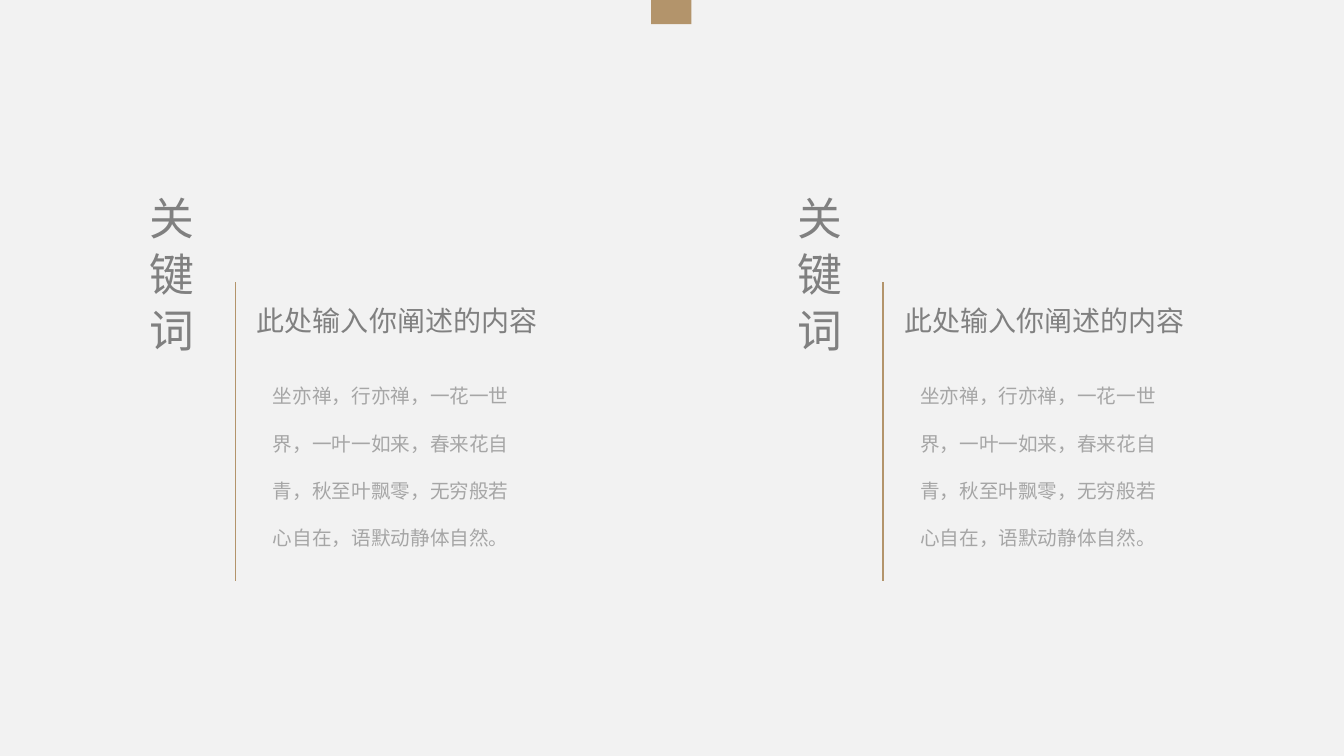
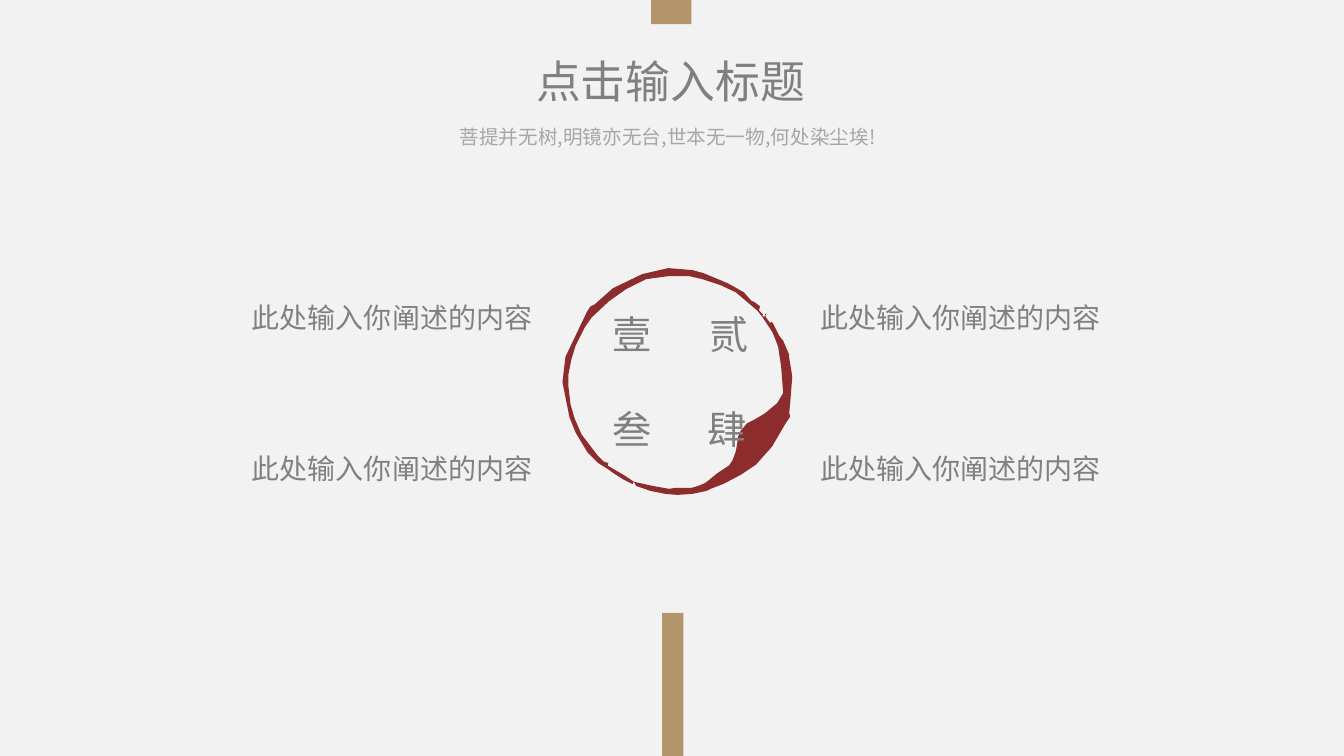
"""Build two calm text slides: a pair of keyword columns and a ring with four points."""
from dataclasses import dataclass
from itertools import product

from lxml.etree import SubElement
from pptx import Presentation
from pptx.dml.color import RGBColor
from pptx.enum.shapes import MSO_CONNECTOR as CONN, MSO_SHAPE as SHAPE
from pptx.enum.text import MSO_AUTO_SIZE as AUTO
from pptx.oxml.ns import qn
from pptx.slide import Slide
from pptx.util import Pt

PAPER = RGBColor(0xF2, 0xF2, 0xF2)
TAN = RGBColor(0xB3, 0x94, 0x6B)
RED = RGBColor(0x8C, 0x2C, 0x2C)
GREY = RGBColor(0x80, 0x80, 0x80)
PALE = RGBColor(0xA6, 0xA6, 0xA6)
FONT = "Noto Sans CJK SC"

HEADING = "此处输入你阐述的内容"
VERSE = ("坐亦禅，行亦禅，一花一世界，一叶一如来，春来花自青，"
         "秋至叶飘零，无穷般若心自在，语默动静体自然。")
RING_UNIT = 0.72
BRUSH_TIP = """
784,399 786,374 785,367 783,355 783,352 777,338 773,333 767,321 765,319 764,321
763,319 760,315 759,312 761,313 759,311 759,314 756,314
"""
INNER_EDGE = """
758,317 766,329 769,336 772,344 775,364 777,390 771,400 765,405 759,410 749,416
741,420 737,425 735,427 732,434 732,436 730,448 727,456 724,461 723,462 711,470
700,479 693,482 686,484 683,484 670,484 664,485 647,482 629,478 620,472 603,462
603,460 604,459 602,459 599,458 593,452 577,431 570,415 566,401 564,384 564,371
567,356 571,343 580,325 587,315 604,299 621,287 641,277 663,274 684,274 697,277
715,283 730,290 750,307 752,309 756,314
"""
OUTER_EDGE = """
757,312 753,308 754,304 749,300 745,298 738,290 722,281 698,271 687,268 663,266
637,272 608,286 590,302 586,304 585,305 582,310 561,354 558,379 565,414 571,429
583,449 593,459 604,466 608,469 619,476 627,480 628,480 628,479 629,478 631,482
645,487 660,490 672,491 687,490 701,487 705,485 718,480 735,471 750,461 766,443
780,419 783,415 784,413 783,410
"""


@dataclass(frozen=True)
class Style:
    size: float
    color: RGBColor = GREY
    spacing: float = 1.0
    wrap: bool = False
    vertical: bool = False


@dataclass(frozen=True)
class Box:
    left: float
    top: float
    width: float
    height: float


TITLE = Style(32)
KEYWORD = Style(32, vertical=True)
POINT = Style(20, spacing=1.5)
BODY = Style(14, PALE, spacing=2.0, wrap=True)
SUBTITLE = Style(14, PALE, wrap=True)
NUMERAL = Style(28)


def add_text(s: Slide, box: Box, text: str, style: Style) -> None:
    sp = s.shapes.add_textbox(Pt(box.left), Pt(box.top), Pt(box.width), Pt(box.height))
    tf = sp.text_frame
    tf.word_wrap = style.wrap
    tf.auto_size = AUTO.SHAPE_TO_FIT_TEXT
    p = tf.paragraphs[0]
    p.line_spacing = style.spacing
    r = p.add_run()
    r.text = text
    r.font.size = Pt(style.size)
    r.font.name = FONT
    r.font.color.rgb = style.color
    SubElement(r._r.get_or_add_rPr(), qn("a:ea")).set("typeface", FONT)
    if style.vertical:
        tf._txBody.bodyPr.set("vert", "eaVert")


def add_block(s: Slide, box: Box) -> None:
    sp = s.shapes.add_shape(SHAPE.RECTANGLE, Pt(box.left), Pt(box.top),
                            Pt(box.width), Pt(box.height))
    sp.shadow.inherit = False
    sp.fill.solid()
    sp.fill.fore_color.rgb = TAN
    sp.line.fill.background()


def add_rule(s: Slide, x: float, top: float, bottom: float) -> None:
    line = s.shapes.add_connector(CONN.STRAIGHT, Pt(x), Pt(top), Pt(x), Pt(bottom))
    line.line.color.rgb = TAN
    line.line.width = Pt(1)
    SubElement(line._element.spPr, qn("a:effectLst"))


def add_ring(s: Slide) -> None:
    points = [tuple(map(int, pair.split(",")))
              for edge in (BRUSH_TIP, INNER_EDGE, OUTER_EDGE) for pair in edge.split()]
    fb = s.shapes.build_freeform(*points[0], scale=Pt(RING_UNIT))
    fb.add_line_segments(points[1:], close=True)
    sp = fb.convert_to_shape()
    sp.shadow.inherit = False
    sp.fill.solid()
    sp.fill.fore_color.rgb = RED
    sp.line.fill.background()


def add_point(s: Slide, left: float, top: float) -> None:
    add_text(s, Box(left, top, 216.7, 38.2), HEADING, POINT)


def add_column(s: Slide, left: float) -> None:
    add_text(s, Box(left, 133.2, 53.3, 136.8), "关 键 词", KEYWORD)
    add_rule(s, left + 77, 201.6, 414.7)
    add_point(s, left + 85, 201.6)
    add_text(s, Box(left + 96.5, 254.2, 193, 143.3), VERSE, BODY)


def new_slide(prs: Presentation) -> Slide:
    s = prs.slides.add_slide(prs.slide_layouts[6])
    add_block(s, Box(465.1, 0, 28.8, 17.3))
    return s


def build_keywords(prs: Presentation) -> None:
    s = new_slide(prs)
    for left in (91.4, 553.7):
        add_column(s, left)


def build_ring(prs: Presentation) -> None:
    s = new_slide(prs)
    add_ring(s)
    for numeral, left, top in (("壹", 430.6, 218.2), ("贰", 499.7, 218.2),
                               ("叁", 430.6, 285.8), ("肆", 498.2, 285.8)):
        add_text(s, Box(left, top, 42.5, 41), numeral, NUMERAL)
    for top, left in product((199.4, 306.7), (172.8, 578.9)):
        add_point(s, left, top)
    add_block(s, Box(473, 437.8, 15.1, 102.2))
    add_text(s, Box(375.8, 34.6, 208.1, 46.1), "点击输入标题", TITLE)
    add_text(s, Box(321.1, 85.7, 325.4, 24.5),
             "菩提并无树,明镜亦无台,世本无一物,何处染尘埃!", SUBTITLE)


def main() -> None:
    prs = Presentation()
    prs.slide_width, prs.slide_height = Pt(960), Pt(540)
    fill = prs.slide_master.background.fill
    fill.solid()
    fill.fore_color.rgb = PAPER
    build_keywords(prs)
    build_ring(prs)
    prs.save("out.pptx")


if __name__ == "__main__":
    main()
